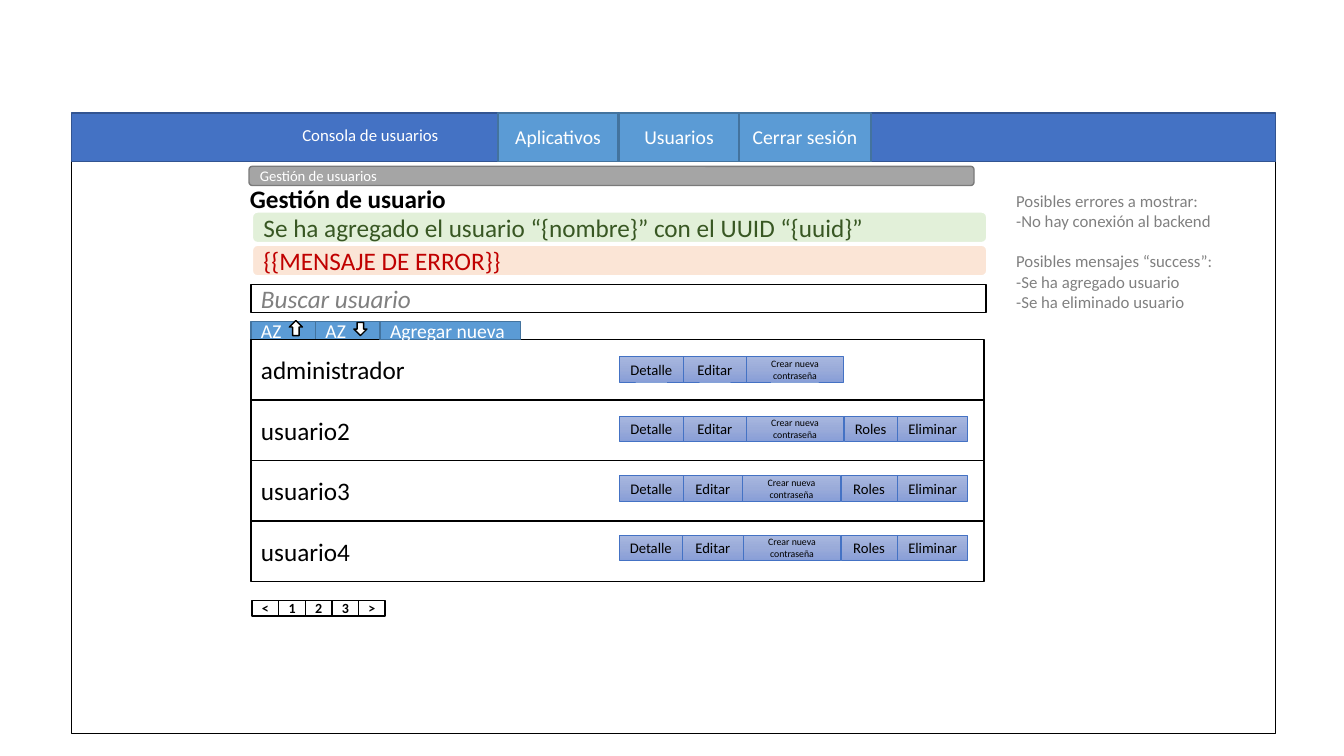
import copy
from dataclasses import dataclass, field
from typing import Any

import pptx
import pptx.dml.color
import pptx.enum.shapes
import pptx.enum.text
import pptx.util

Inches = pptx.util.Inches
Shape = pptx.enum.shapes.MSO_SHAPE
Align = pptx.enum.text.PP_ALIGN

COLORS = {
    "white": "FFFFFF", "black": "000000", "gray": "808080",
    "bar": "4472C4", "bar_edge": "325491",
    "button": "5B9BD5", "button_edge": "43739E",
    "crumb": "A5A5A5", "crumb_edge": "7A7A7A",
    "error": "FBE5D6", "error_text": "C00000",
    "success": "E2F0D9", "success_text": "385723",
    "grad_top": "A8B7DF", "grad_mid": "9AABD9", "grad_end": "889ED7",
}
ACTION_GRADIENT = ("grad_top", "grad_mid", "grad_end")


@dataclass
class Panel:
    """A filled shape with an optional label; lengths in inches."""
    left: float
    top: float
    width: float
    height: float
    fill: str | tuple[str, ...] = "white"
    edge: str = "black"
    edge_width: float = 1
    text: str = ""
    size: float = 14
    color: str = "white"
    align: Any = Align.LEFT
    kind: Any = Shape.RECTANGLE
    style: dict[str, bool] = field(default_factory=dict)


def rgb(name: str) -> Any:
    return pptx.dml.color.RGBColor.from_string(COLORS[name])


def format_font(font: Any, size: float, color: str, style: dict[str, bool]) -> None:
    values = {"name": "Calibri", "size": pptx.util.Pt(size), **style}
    for attribute, value in values.items():
        setattr(font, attribute, value)
    font.color.rgb = rgb(color)


def fill_gradient(shape: Any, names: tuple[str, ...]) -> None:
    shape.fill.gradient()
    shape.fill.gradient_angle = 270
    first = shape._element.spPr.xpath("a:gradFill/a:gsLst/a:gs")[0]
    first.addnext(copy.deepcopy(first))
    for index, (stop, name) in enumerate(zip(shape.fill.gradient_stops, names)):
        stop.color.rgb = rgb(name)
        stop.position = index / (len(names) - 1)


def draw_panel(shapes: Any, panel: Panel) -> Any:
    box = map(Inches, (panel.left, panel.top, panel.width, panel.height))
    shape = shapes.add_shape(panel.kind, *box)
    shape.shadow.inherit = False
    if isinstance(panel.fill, tuple):
        fill_gradient(shape, panel.fill)
    else:
        shape.fill.solid()
        shape.fill.fore_color.rgb = rgb(panel.fill)
    shape.line.color.rgb = rgb(panel.edge)
    shape.line.width = pptx.util.Pt(panel.edge_width)
    if panel.text:
        frame = shape.text_frame
        frame.word_wrap = True
        frame.vertical_anchor = pptx.enum.text.MSO_ANCHOR.MIDDLE
        label = frame.paragraphs[0]
        label.text = panel.text
        label.alignment = panel.align
        format_font(label.runs[0].font, panel.size, panel.color, panel.style)
    return shape


def draw_text(shapes: Any, box: tuple[float, ...], lines: list[str],
              size: float, color: str, **style: bool) -> Any:
    frame = shapes.add_textbox(*map(Inches, box)).text_frame
    frame.word_wrap = True
    frame.auto_size = pptx.enum.text.MSO_AUTO_SIZE.SHAPE_TO_FIT_TEXT
    for index, line in enumerate(lines):
        paragraph = frame.add_paragraph() if index else frame.paragraphs[0]
        paragraph.text = line
        format_font(paragraph.runs[0].font, size, color, style)
    return frame


def draw_header(shapes: Any) -> None:
    draw_panel(shapes, Panel(0.71, 1.13, 11.94, 6.15))
    draw_panel(shapes, Panel(0.71, 1.12, 11.94, 0.48, "bar", "bar_edge"))
    draw_text(shapes, (2.9, 1.19, 1.92, 0.3), ["Consola de usuarios"], 12, "white")
    menu = [("Aplicativos", 4.94, 1.19), ("Usuarios", 6.14, 1.19),
            ("Cerrar sesión", 7.33, 1.31)]
    for text, left, width in menu:
        draw_panel(shapes, Panel(left, 1.12, width, 0.48, "button", "button_edge",
                                 text=text, align=Align.CENTER))


def draw_messages(shapes: Any) -> None:
    draw_text(shapes, (2.38, 1.77, 8.67, 0.4), ["Gestión de usuario"], 18, "black", bold=True)
    messages = [
        (2.43, "error", "{{MENSAJE DE ERROR}}"),
        (2.1, "success", "Se ha agregado el usuario “{nombre}” con el UUID “{uuid}”"),
    ]
    for top, level, text in messages:
        draw_panel(shapes, Panel(2.5, top, 7.29, 0.31, level, "white", 1.5, text, 18,
                                 f"{level}_text", kind=Shape.ROUNDED_RECTANGLE))
    draw_panel(shapes, Panel(2.47, 1.65, 7.19, 0.19, "crumb", "crumb_edge",
                             text="Gestión de usuarios", size=10.5,
                             kind=Shape.ROUNDED_RECTANGLE))
    draw_panel(shapes, Panel(2.49, 2.82, 7.29, 0.28, text="Buscar usuario", size=18,
                             color="gray", style={"italic": True}))


def draw_toolbar_button(shapes: Any, left: float, width: float, text: str) -> None:
    draw_panel(shapes, Panel(left, 3.19, width, 0.18, "button", "button_edge", text=text))


def draw_sorting(shapes: Any) -> None:
    for left in (3.13, 2.49):
        draw_toolbar_button(shapes, left, 0.64, "AZ")
    draw_panel(shapes, Panel(3.51, 3.2, 0.13, 0.13, kind=Shape.DOWN_ARROW))
    ascending = draw_panel(shapes, Panel(2.87, 3.18, 0.13, 0.15, kind=Shape.DOWN_ARROW))
    ascending._element.spPr.xfrm.set("flipV", "1")


def draw_users(shapes: Any) -> None:
    actions = ["Detalle", "Editar", "Crear nueva contraseña", "Roles", "Eliminar"]
    # Each user has the left and right edges of its row of action buttons
    users = {
        "administrador": (6.14, 6.78, 7.4, 8.37),
        "usuario2": (6.14, 6.78, 7.4, 8.37, 8.9, 9.6),
        "usuario3": (6.14, 6.78, 7.36, 8.34, 8.9, 9.6),
        "usuario4": (6.14, 6.77, 7.37, 8.34, 8.9, 9.6),
    }
    for row, (user, edges) in enumerate(users.items()):
        draw_panel(shapes, Panel(2.49, 3.37 + 0.6 * row, 7.27, 0.6,
                                 text=user, size=18, color="black"))
        for action, left, right in zip(actions, edges, edges[1:]):
            size = 7 if action.startswith("Crear") else 10.5
            draw_panel(shapes, Panel(left, 3.54 + 0.59 * row, right - left, 0.25,
                                     ACTION_GRADIENT, "bar", 0.5, action, size,
                                     "black", Align.CENTER))


def draw_pager(shapes: Any) -> None:
    pages = "<123>"
    width = 1.32 / len(pages)
    for index, page in enumerate(pages):
        draw_panel(shapes, Panel(2.5 + index * width, 5.96, width, 0.15, text=page,
                                 size=10, color="black", style={"bold": True}))


def draw_notes(shapes: Any) -> None:
    lines = ["Posibles errores a mostrar:", "-No hay conexión al backend",
             "Posibles mensajes “success”:", "-Se ha agregado usuario",
             "-Se ha eliminado usuario"]
    notes = draw_text(shapes, (9.98, 1.84, 2.45, 1.31), lines, 12, "gray")
    notes.paragraphs[2].space_before = pptx.util.Pt(14.5)


def main() -> None:
    deck = pptx.Presentation()
    deck.slide_width, deck.slide_height = Inches(13.33), Inches(7.5)
    shapes = deck.slides.add_slide(deck.slide_layouts[6]).shapes

    # Window frame and menu bar
    draw_header(shapes.add_group_shape().shapes)
    # Breadcrumb, title, messages and search
    draw_messages(shapes)
    # Toolbar and user list
    draw_sorting(shapes)
    draw_users(shapes)
    draw_toolbar_button(shapes, 3.77, 1.39, "Agregar nueva")
    # Page buttons and side notes
    draw_pager(shapes)
    draw_notes(shapes)

    deck.save("out.pptx")


if __name__ == "__main__":
    main()
